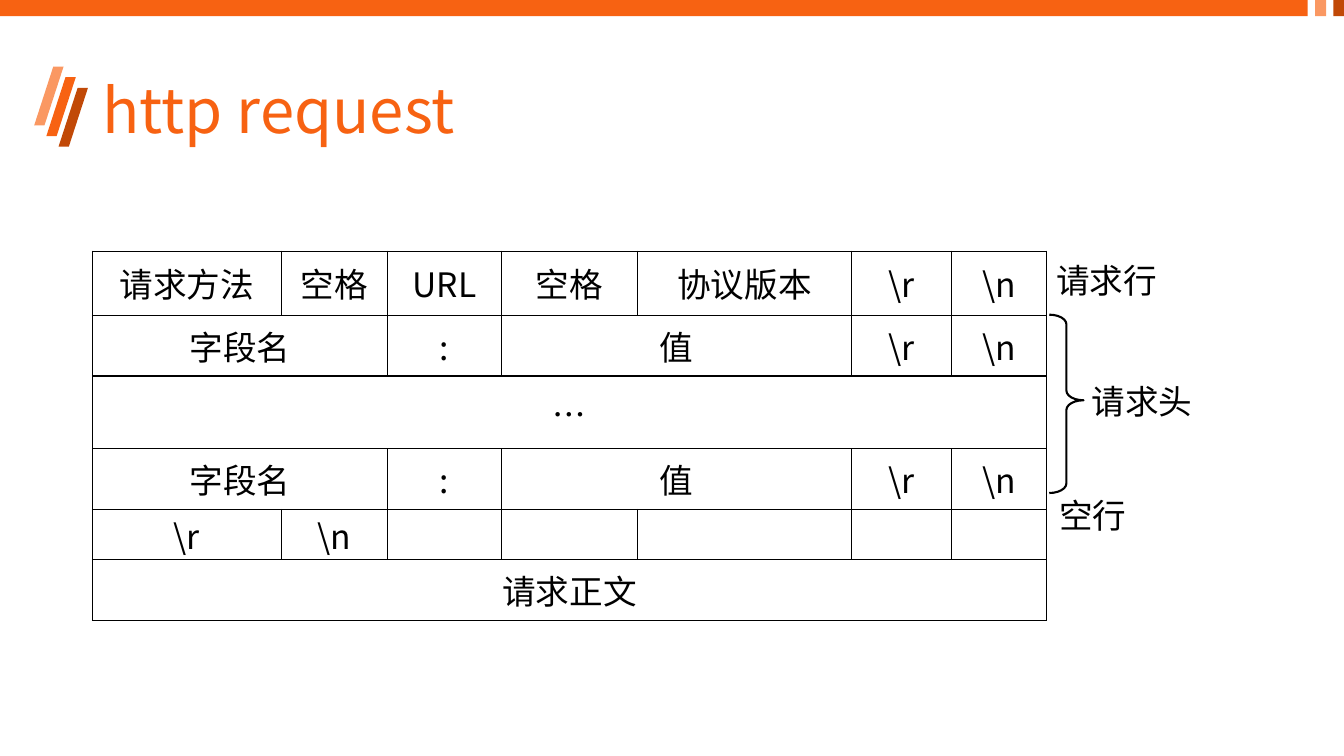
from lxml.etree import SubElement
from pptx import Presentation
from pptx.dml.color import RGBColor
from pptx.enum.shapes import MSO_SHAPE
from pptx.enum.text import MSO_ANCHOR, MSO_AUTO_SIZE, PP_ALIGN
from pptx.oxml.ns import qn
from pptx.util import Pt

COLORS = {"main": "F76212", "light": "FA9862", "dark": "C14907", "ink": "000000"}
FACE = "Noto Sans CJK SC"


def style(para, size, color):
    """Set the font, East Asian face included, on a paragraph."""
    font = para.font
    font.size = Pt(size)
    font.color.rgb = RGBColor.from_string(COLORS[color])
    font.name = FACE
    SubElement(font._rPr, qn("a:ea")).set("typeface", FACE)


def block(kind, left, top, width, height, color):
    """Add a filled shape without outline."""
    shape = slide.shapes.add_shape(kind, Pt(left), Pt(top), Pt(width), Pt(height))
    shape.shadow.inherit = False
    shape.fill.solid()
    shape.fill.fore_color.rgb = RGBColor.from_string(COLORS[color])
    shape.line.fill.background()
    return shape


deck = Presentation()
deck.slide_width, deck.slide_height = Pt(960), Pt(540)
slide = deck.slides.add_slide(deck.slide_layouts[5])

# Slanted stripes beside the title
for i, color in enumerate(("light", "main", "dark")):
    stripe = block(MSO_SHAPE.PARALLELOGRAM, 24.4 + 8.7 * i, 47.6 + 7.6 * i, 21, 42, color)
    stripe.adjustments[0] = 0.65

# Band along the top edge
for left, width, color in ((0, 934, "main"), (939.4, 7.8, "light"), (952.4, 7.6, "dark")):
    block(MSO_SHAPE.RECTANGLE, left, 0, width, 11.5, color)

title = slide.shapes.title
title.left, title.top, title.width, title.height = Pt(66), Pt(28.8), Pt(828), Pt(104.4)
frame = title.text_frame
frame.text = "http request"
frame.auto_size = MSO_AUTO_SIZE.NONE
frame.vertical_anchor = MSO_ANCHOR.MIDDLE
para = frame.paragraphs[0]
para.alignment = PP_ALIGN.LEFT
para.line_spacing = 0.9
style(para, 44, "main")

# Request layout: each row lists (text, columns covered)
field = [("字段名", 2), (":", 1), ("值", 2), ("\\r", 1), ("\\n", 1)]
rows = [
    [("请求方法", 1), ("空格", 1), ("URL", 1), ("空格", 1), ("协议版本", 1),
     ("\\r", 1), ("\\n", 1)],
    field,
    [("…", 7)],
    field,
    [("\\r", 1), ("\\n", 1)] + [("", 1)] * 5,
    [("请求正文", 7)],
]
widths = [135, 75.8, 81.4, 97.2, 153, 71.3, 68.1]
heights = [45.8, 43.2, 52, 43.2, 35.6, 43.4]
holder = slide.shapes.add_table(
    len(rows), len(widths), Pt(66), Pt(179.4), Pt(sum(widths)), Pt(sum(heights)))
table = holder.table
table.first_row = table.horz_banding = False
for column, width in zip(table.columns, widths):
    column.width = Pt(width)
for row, height in zip(table.rows, heights):
    row.height = Pt(height)

for cell in table.iter_cells():
    props = cell._tc.get_or_add_tcPr()
    for side in ("a:lnL", "a:lnR", "a:lnT", "a:lnB"):
        edge = SubElement(props, qn(side), w=str(Pt(1)))
        fill = SubElement(edge, qn("a:solidFill"))
        SubElement(fill, qn("a:srgbClr"), val=COLORS["ink"])
    cell.fill.background()

for r, row in enumerate(rows):
    c = 0
    for text, span in row:
        cell = table.cell(r, c)
        if span > 1:
            cell.merge(table.cell(r, c + span - 1))
        if text:
            cell.text = text
            cell.vertical_anchor = MSO_ANCHOR.MIDDLE
            side, edge = (7.9, 4.3) if span > 1 else (0.7, 0.4)
            cell.margin_left = cell.margin_right = Pt(side)
            cell.margin_top = cell.margin_bottom = Pt(edge)
            para = cell.text_frame.paragraphs[0]
            para.alignment = PP_ALIGN.CENTER
            style(para, 24, "ink")
        if text == "…":
            cell._tc.get_or_add_tcPr().set("vert", "eaVert")
        c += span

# Labels on the right
for text, left, top, width in (
    ("请求行", 747.4, 182.2, 87), ("请求头", 772.6, 268.6, 87), ("空行", 749.5, 350, 63),
):
    label = slide.shapes.add_textbox(Pt(left), Pt(top), Pt(width), Pt(36))
    label.text_frame.word_wrap = False
    label.text_frame.text = text
    style(label.text_frame.paragraphs[0], 24, "ink")

brace = slide.shapes.add_shape(
    MSO_SHAPE.RIGHT_BRACE, Pt(749.5), Pt(224.8), Pt(24.5), Pt(127.4))
brace.adjustments[0], brace.adjustments[1] = 0.28, 0.48
brace.shadow.inherit = False
brace.fill.background()
brace.line.color.rgb = RGBColor.from_string(COLORS["ink"])
brace.line.width = Pt(1.5)

deck.save("out.pptx")
